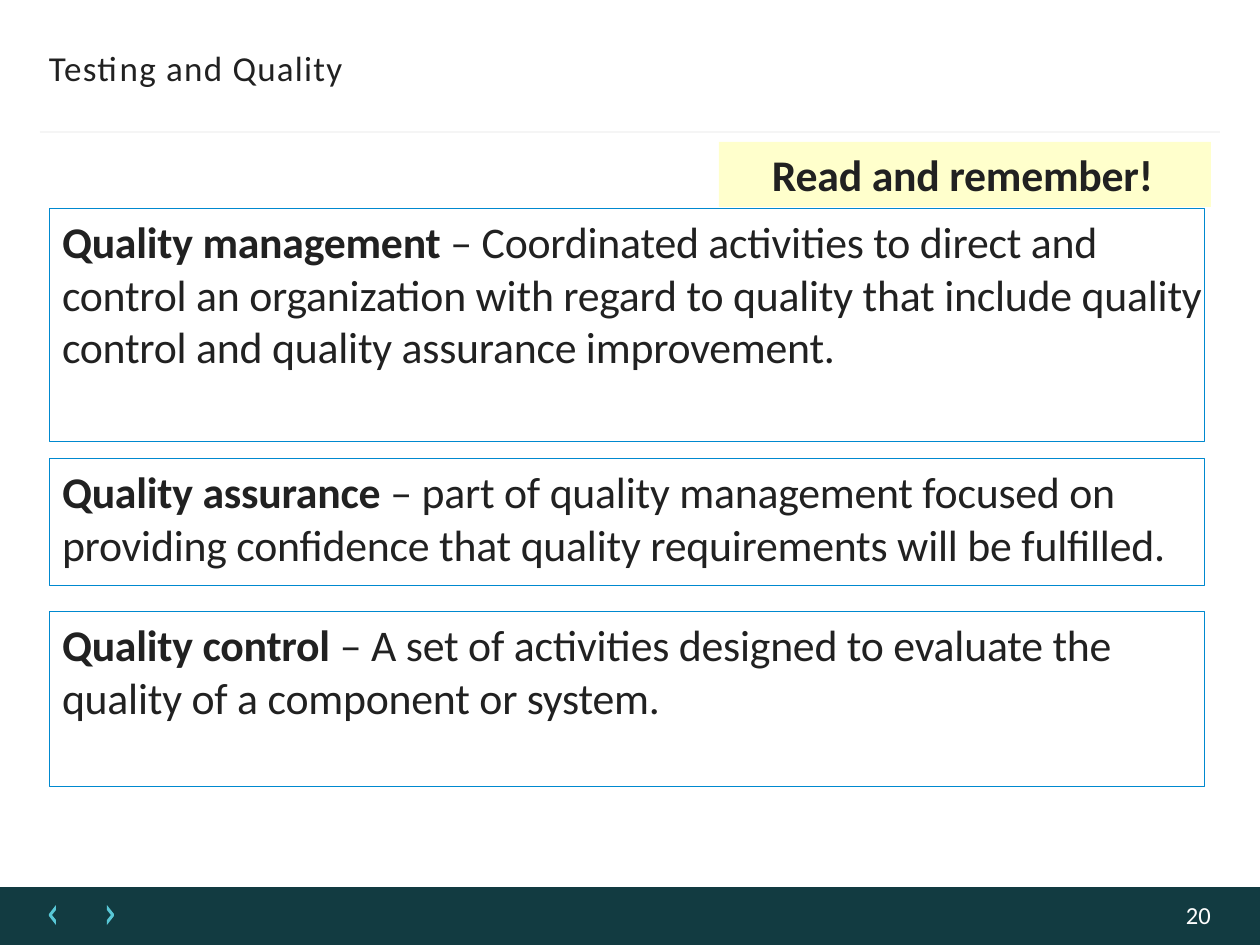
from lxml import etree
from pptx import Presentation
from pptx.dml.color import RGBColor
from pptx.enum.shapes import MSO_CONNECTOR, MSO_SHAPE
from pptx.enum.text import MSO_ANCHOR, PP_ALIGN
from pptx.oxml.ns import qn
from pptx.util import Pt

PX = 914400 / 126
RECTANGLE = MSO_SHAPE.RECTANGLE
STRAIGHT = MSO_CONNECTOR.STRAIGHT
TOP = MSO_ANCHOR.TOP
LEFT = PP_ALIGN.LEFT
INK = "212121"


def px(*values):
    return [round(value * PX) for value in values]


def write(shape, runs, size, color, inset_left, inset_top, spacing):
    """Fill a shape with one paragraph of (text, bold) runs; spacing is in 1/100 pt."""
    frame = shape.text_frame
    frame.word_wrap = True
    frame.vertical_anchor = TOP
    frame.margin_left, frame.margin_top = px(inset_left, inset_top)
    frame.margin_right = frame.margin_bottom = 0
    paragraph = frame.paragraphs[0]
    paragraph.alignment = LEFT
    paragraph.font.name = "Calibri"
    paragraph.font.size = Pt(size)
    paragraph.font.color.rgb = RGBColor.from_string(color)
    for text, bold in runs:
        run = paragraph.add_run()
        run.text = text
        run.font.bold = bold
        run.font._element.set("spc", str(spacing))


presentation = Presentation()
presentation.slide_width, presentation.slide_height = px(1260, 945)
slide = presentation.slides.add_slide(presentation.slide_layouts[6])
shapes = slide.shapes

# Footer bar with previous and next chevrons
footer = shapes.add_shape(RECTANGLE, *px(0, 887, 1260, 58))
previous_points = [(56, 905), (49, 914), (49, 916), (56, 925),
                   (56, 920), (52, 915), (56, 910)]
next_points = [(163 - x, y) for x, y in previous_points]
builder = shapes.build_freeform(*previous_points[0], scale=PX)
builder.add_line_segments(previous_points[1:], close=True)
builder.move_to(*next_points[0])
builder.add_line_segments(next_points[1:], close=True)
chevrons = builder.convert_to_shape()
for shape, color in ((footer, "123B41"), (chevrons, "58C7D6")):
    shape.shadow.inherit = False
    shape.fill.solid()
    shape.fill.fore_color.rgb = RGBColor.from_string(color)
    shape.line.fill.background()

page_number = shapes.add_textbox(*px(1181, 900, 40, 28))
write(page_number, [("20", False)], 14, "FDFDFD", 5, 0, 0)

# Heading and rule
heading = shapes.add_textbox(*px(48, 44, 340, 46))
write(heading, [("Testing and Quality", False)], 20, INK, 1, 3, 70)

rule = shapes.add_connector(STRAIGHT, *px(40, 132, 1220, 132))
rule.line.color.rgb = RGBColor.from_string("F5F5F5")
rule.line.width = Pt(1.5)
etree.SubElement(rule._element.spPr, qn("a:effectLst"))

# Definitions
definitions = [
    (208, 233, "Quality management ",
     "– Coordinated activities to direct and control an organization with regard "
     "to quality that include quality control and quality assurance improvement."),
    (458, 127, "Quality assurance ",
     "– part of quality management focused on providing confidence that quality "
     "requirements will be fulfilled."),
    (611, 175, "Quality control ",
     "– A set of activities designed to evaluate the quality of a component or system."),
]
for top, height, term, meaning in definitions:
    box = shapes.add_shape(RECTANGLE, *px(49, top, 1155, height))
    box.shadow.inherit = False
    box.fill.background()
    box.line.color.rgb = RGBColor.from_string("0089CF")
    box.line.width = Pt(0.25)
    write(box, [(term, True), (meaning, False)], 25, INK, 13, 7, -10)

# Highlighted reminder
reminder = shapes.add_shape(RECTANGLE, *px(719, 142, 492, 65))
reminder.shadow.inherit = False
reminder.fill.solid()
reminder.fill.fore_color.rgb = RGBColor.from_string("FFFF00")
yellow = reminder._element.spPr.find(qn("a:solidFill"))[0]
etree.SubElement(yellow, qn("a:alpha"), val="20000")
reminder.line.fill.background()
write(reminder, [("Read and remember!", True)], 25, INK, 53, 6, -10)

presentation.save("out.pptx")
